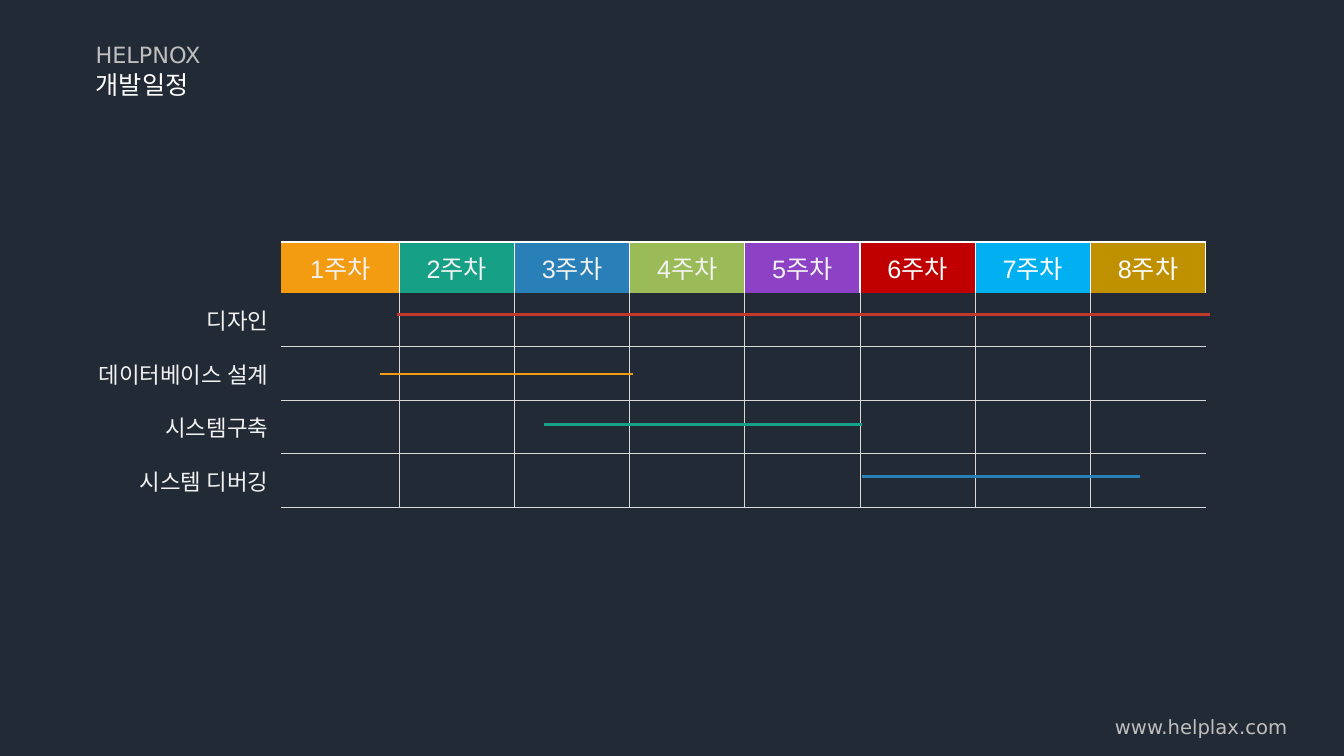
from lxml.etree import SubElement
from pptx import Presentation
from pptx.dml.color import RGBColor
from pptx.enum.shapes import MSO_CONNECTOR
from pptx.enum.text import MSO_ANCHOR, MSO_AUTO_SIZE, PP_ALIGN
from pptx.oxml.ns import qn
from pptx.util import Inches, Pt

COLORS = {
    "background": "222A35", "white": "FFFFFF", "pale": "F2F2F2",
    "muted": "BFBFBF", "grid": "D9D9D9", "orange": "F39C11",
    "teal": "16A086", "blue": "297FB8", "green": "9BBB58",
    "purple": "8D42C6", "crimson": "C00000", "sky": "00B0F0",
    "gold": "BF9000", "red": "C1392B",
}
KOREAN_FONT = "Noto Sans CJK KR"
WEEK_COLORS = ["orange", "teal", "blue", "green", "purple", "crimson", "sky", "gold"]
WHITE_TEXT_FROM_WEEK = 6
TASKS = ["디자인", "데이터베이스 설계", "시스템구축", "시스템 디버깅"]
BARS = [
    (0.40, 1.98, 9.04, "red"),
    (1.51, 1.83, 4.03, "orange"),
    (3.43, 6.02, 8.43, "blue"),
    (2.45, 3.26, 6.02, "teal"),
]
LABEL_WIDTH, FIRST_WEEK_WIDTH, WEEK_WIDTH = 2.89, 1.17, 8 / 7
HEADER_HEIGHT, TASK_HEIGHT = 0.51, 0.53


def rgb(name):
    """Return the named colour."""
    return RGBColor.from_string(COLORS[name])


def write(frame, text, size, color, font, align=PP_ALIGN.LEFT):
    """Put one formatted run into a text frame."""
    para = frame.paragraphs[0]
    para.alignment = align
    span = para.add_run()
    span.text = text
    span.font.size = Pt(size)
    span.font.name = font
    span.font.color.rgb = rgb(color)
    SubElement(span.font._element, qn("a:ea"), typeface=KOREAN_FONT)


def set_borders(cell, sides, color, width):
    """Draw the given sides of a cell and clear the others."""
    properties = cell._tc.get_or_add_tcPr()
    for side in "LRTB":
        border = SubElement(properties, qn(f"a:ln{side}"), w=str(Pt(width)))
        if side in sides:
            fill = SubElement(border, qn("a:solidFill"))
            SubElement(fill, qn("a:srgbClr"), val=COLORS[color])
        else:
            SubElement(border, qn("a:noFill"))


def set_margins(cell):
    """Set the inner margins of a cell that holds text."""
    cell.margin_left = cell.margin_right = Inches(0.13)
    cell.margin_top = cell.margin_bottom = Inches(0.07)


def fill_header(table):
    """Format the row of week names."""
    corner = table.cell(0, 0)
    set_borders(corner, "", "white", 1)
    corner.fill.solid()
    corner.fill.fore_color.rgb = rgb("background")
    for week, color in enumerate(WEEK_COLORS, 1):
        cell = table.cell(0, week)
        set_margins(cell)
        set_borders(cell, "TR" if week == 1 else "LTR", "white", 1)
        cell.fill.solid()
        cell.fill.fore_color.rgb = rgb(color)
        text_color = "white" if week >= WHITE_TEXT_FROM_WEEK else "pale"
        write(cell.text_frame, f"{week}주차", 18, text_color, "Arial", PP_ALIGN.CENTER)


def fill_task(table, row, task):
    """Format one task row with its label and grid cells."""
    label = table.cell(row, 0)
    set_margins(label)
    label.vertical_anchor = MSO_ANCHOR.MIDDLE
    set_borders(label, "", "grid", 0.5)
    label.fill.background()
    write(label.text_frame, task, 16, "pale", "Arial", PP_ALIGN.RIGHT)
    last = len(WEEK_COLORS)
    for week in range(1, last + 1):
        sides = "B"
        sides += "T" if row > 1 else ""
        sides += "L" if week > 1 else ""
        sides += "R" if week < last else ""
        cell = table.cell(row, week)
        set_borders(cell, sides, "grid", 0.5)
        cell.fill.background()


def add_schedule(page, left, top):
    """Place the week table and the task bars over it."""
    width = LABEL_WIDTH + FIRST_WEEK_WIDTH + 7 * WEEK_WIDTH
    height = HEADER_HEIGHT + len(TASKS) * TASK_HEIGHT
    table = page.shapes.add_table(
        len(TASKS) + 1, len(WEEK_COLORS) + 1,
        Inches(left), Inches(top), Inches(width), Inches(height)).table
    table.first_row = table.horz_banding = False
    widths = [LABEL_WIDTH, FIRST_WEEK_WIDTH] + [WEEK_WIDTH] * 7
    for column, column_width in zip(table.columns, widths):
        column.width = Inches(column_width)
    for index, row in enumerate(table.rows):
        row.height = Inches(TASK_HEIGHT if index else HEADER_HEIGHT)
    fill_header(table)
    for row, task in enumerate(TASKS, 1):
        fill_task(table, row, task)
    second_week = left + LABEL_WIDTH + FIRST_WEEK_WIDTH
    for row, start, end, color in BARS:
        y = Inches(top + HEADER_HEIGHT + row * TASK_HEIGHT)
        x_start, x_end = (Inches(second_week + (week - 2) * WEEK_WIDTH)
                          for week in (start, end))
        bar = page.shapes.add_connector(MSO_CONNECTOR.STRAIGHT, x_start, y, x_end, y)
        bar.line.color.rgb = rgb(color)
        bar.line.width = Pt(2)
        SubElement(bar._element.spPr, qn("a:effectLst"))


def add_label(page, left, top, width, height, text, size):
    """Place a muted one-line text."""
    box = page.shapes.add_textbox(*map(Inches, (left, top, width, height)))
    box.text_frame.word_wrap = True
    write(box.text_frame, text, size, "muted", "DejaVu Sans")


def set_title(page, left, top, width, height, text):
    """Move and format the title placeholder."""
    title = page.shapes.title
    title.left, title.top, title.width, title.height = map(
        Inches, (left, top, width, height))
    frame = title.text_frame
    frame.word_wrap = False
    frame.auto_size = MSO_AUTO_SIZE.NONE
    frame.vertical_anchor = MSO_ANCHOR.TOP
    write(frame, text, 18, "white", KOREAN_FONT)


def main():
    """Build the schedule slide and save it."""
    deck = Presentation()
    deck.slide_width, deck.slide_height = Inches(13.33), Inches(7.5)
    page = deck.slides.add_slide(deck.slide_layouts[5])
    page.background.fill.solid()
    page.background.fill.fore_color.rgb = rgb("background")
    add_schedule(page, -0.1, 2.4)
    add_label(page, 10.96, 7.04, 2.1, 0.34, "www.helplax.com", 14)
    add_label(page, 0.85, 0.36, 1.5, 0.37, "HELPNOX", 16)
    set_title(page, 0.85, 0.64, 1.21, 0.4, "개발일정")
    deck.save("out.pptx")


if __name__ == "__main__":
    main()
